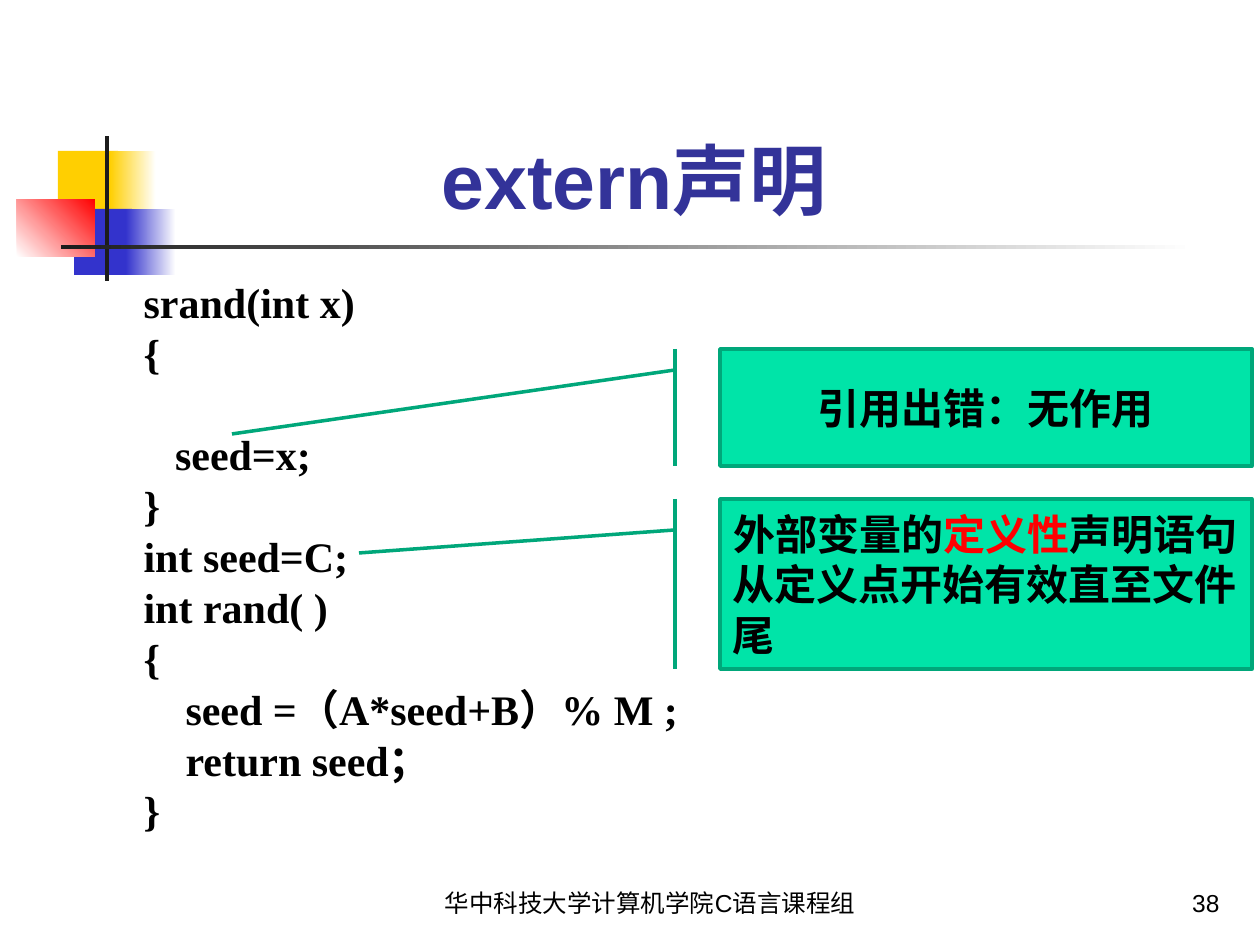
from dataclasses import dataclass

from lxml import etree
from pptx import Presentation
from pptx import util as u
from pptx.dml.color import RGBColor
from pptx.enum import shapes, text
from pptx.oxml import ns

PX = u.Inches(1) / 126  # one scale for every length
COLORS = {
    "yellow": "FFCF01", "blue": "3333CC", "red": "FF0000", "ink": "1C1C1C",
    "white": "FFFFFF", "black": "000000", "title": "333399",
    "callout": "00E4A8", "callout_line": "00A77A",
}
ALIGN = text.PP_ALIGN
ANCHOR = text.MSO_ANCHOR


@dataclass
class Box:
    left: int
    top: int
    width: int
    height: int

    def emu(self) -> list[int]:
        return [round(v * PX) for v in (self.left, self.top, self.width, self.height)]


@dataclass
class Block:
    box: Box
    start: str
    end: str = ""  # second gradient colour, if any
    angle: int = 0


@dataclass
class Callout:
    box: Box
    pointer: tuple[int, int]  # where the leader line ends
    bar_y: int  # where the leader line leaves the accent bar
    lines: list[list[tuple[str, str]]]  # lines of (text, colour) runs


BAR_X = 675
BLOCKS = [
    Block(Box(58, 151, 60, 66), "yellow"),
    Block(Box(110, 151, 46, 66), "yellow", "white"),
    Block(Box(74, 209, 58, 66), "blue"),
    Block(Box(126, 209, 50, 66), "blue", "white"),
    Block(Box(17, 199, 78, 58), "white", "red", 45),
    Block(Box(105, 136, 4, 145), "ink"),
    Block(Box(61, 245, 1134, 4), "ink", "white"),
]
CODE = [
    "srand(int x)", "{", "   seed=x;", "}", "int seed=C;", "int rand( )", "{",
    "    seed =（A*seed+B）% M ;", "    return seed；", "}",
]
GAP_BEFORE = 2  # the code line that follows an empty line
CALLOUTS = [
    Callout(Box(720, 499, 532, 170), (359, 553), 530,
            [[("外部变量的", "black"), ("定义性", "red"), ("声明语句", "black")],
             [("从定义点开始有效直至文件尾", "black")]]),
    Callout(Box(720, 349, 532, 117), (232, 434), 370,
            [[("引用出错：无作用", "black")]]),
]


def rgb(name: str) -> RGBColor:
    return RGBColor.from_string(COLORS[name])


def place(shape, box: Box) -> None:
    shape.left, shape.top, shape.width, shape.height = box.emu()


def set_font(paragraph, size: int, name: str = "Arial", bold: bool = False,
             color: str = "black") -> None:
    font = paragraph.font
    font.size, font.name, font.bold = u.Pt(size), name, bold
    font.color.rgb = rgb(color)


def set_frame(frame, anchor) -> None:
    frame.word_wrap = True
    frame.auto_size = text.MSO_AUTO_SIZE.NONE
    frame.vertical_anchor = anchor


def draw_block(slide, block: Block) -> None:
    shape = slide.shapes.add_shape(shapes.MSO_SHAPE.RECTANGLE, *block.box.emu())
    shape.shadow.inherit = False
    shape.line.fill.background()
    if block.end:
        shape.fill.gradient()
        shape.fill.gradient_angle = block.angle
        for stop, name in zip(shape.fill.gradient_stops, (block.start, block.end)):
            stop.color.rgb = rgb(name)
    else:
        shape.fill.solid()
        shape.fill.fore_color.rgb = rgb(block.start)


def draw_callout(slide, callout: Callout) -> None:
    box = callout.box
    shape = slide.shapes.add_shape(
        shapes.MSO_SHAPE.LINE_CALLOUT_1_BORDER_AND_ACCENT_BAR, *box.emu())
    shape.shadow.inherit = False
    shape.fill.solid()
    shape.fill.fore_color.rgb = rgb("callout")
    shape.line.color.rgb = rgb("callout_line")
    shape.line.width = u.Pt(2)
    # Adjustments are y, x pairs as fractions of the box
    leader = [(BAR_X, callout.bar_y), callout.pointer]
    for i, (x, y) in enumerate(leader):
        shape.adjustments[2 * i] = (y - box.top) / box.height
        shape.adjustments[2 * i + 1] = (x - box.left) / box.width
    frame = shape.text_frame
    set_frame(frame, ANCHOR.MIDDLE)
    for i, runs in enumerate(callout.lines):
        paragraph = frame.add_paragraph() if i else frame.paragraphs[0]
        paragraph.alignment = ALIGN.LEFT if i else ALIGN.CENTER
        set_font(paragraph, 24, bold=True)
        for words, color in runs:
            run = paragraph.add_run()
            run.text = words
            run.font.color.rgb = rgb(color)


def draw_footer(slide, box: Box, words: str, align) -> None:
    frame = slide.shapes.add_textbox(*box.emu()).text_frame
    set_frame(frame, ANCHOR.BOTTOM)
    paragraph = frame.paragraphs[0]
    paragraph.text = words
    paragraph.alignment = align
    set_font(paragraph, 14)


def fill_title(title) -> None:
    place(title, Box(54, 29, 1178, 202))
    set_frame(title.text_frame, ANCHOR.BOTTOM)
    paragraph = title.text_frame.paragraphs[0]
    paragraph.text = "extern声明 "
    paragraph.alignment = ALIGN.CENTER
    set_font(paragraph, 44, bold=True, color="title")


def fill_code(body) -> None:
    place(body, Box(131, 280, 740, 567))
    frame = body.text_frame
    set_frame(frame, ANCHOR.TOP)
    for i, line in enumerate(CODE):
        paragraph = frame.add_paragraph() if i else frame.paragraphs[0]
        paragraph.text = line
        paragraph.line_spacing = 0.8
        paragraph.space_before = u.Pt(0 if i == 0 else 35 if i == GAP_BEFORE else 6)
        # No bullet, no hanging indent
        properties = paragraph._p.get_or_add_pPr()
        properties.set("marL", "0")
        properties.set("indent", "0")
        etree.SubElement(properties, ns.qn("a:buNone"))
        set_font(paragraph, 24, "Times New Roman", bold=True)


def main() -> None:
    prs = Presentation()
    prs.slide_width, prs.slide_height = u.Inches(10), u.Inches(7.5)
    slide = prs.slides.add_slide(prs.slide_layouts[1])

    # Corner ornament and title rule
    for block in BLOCKS:
        draw_block(slide, block)

    # Title and code
    fill_title(slide.shapes.title)
    fill_code(slide.placeholders[1])

    # Footer and page number
    draw_footer(slide, Box(362, 861, 576, 63), "华中科技大学计算机学院C语言课程组", ALIGN.CENTER)
    draw_footer(slide, Box(970, 861, 262, 63), "38", ALIGN.RIGHT)

    # Remarks on the code
    for callout in CALLOUTS:
        draw_callout(slide, callout)

    prs.save("out.pptx")


if __name__ == "__main__":
    main()
